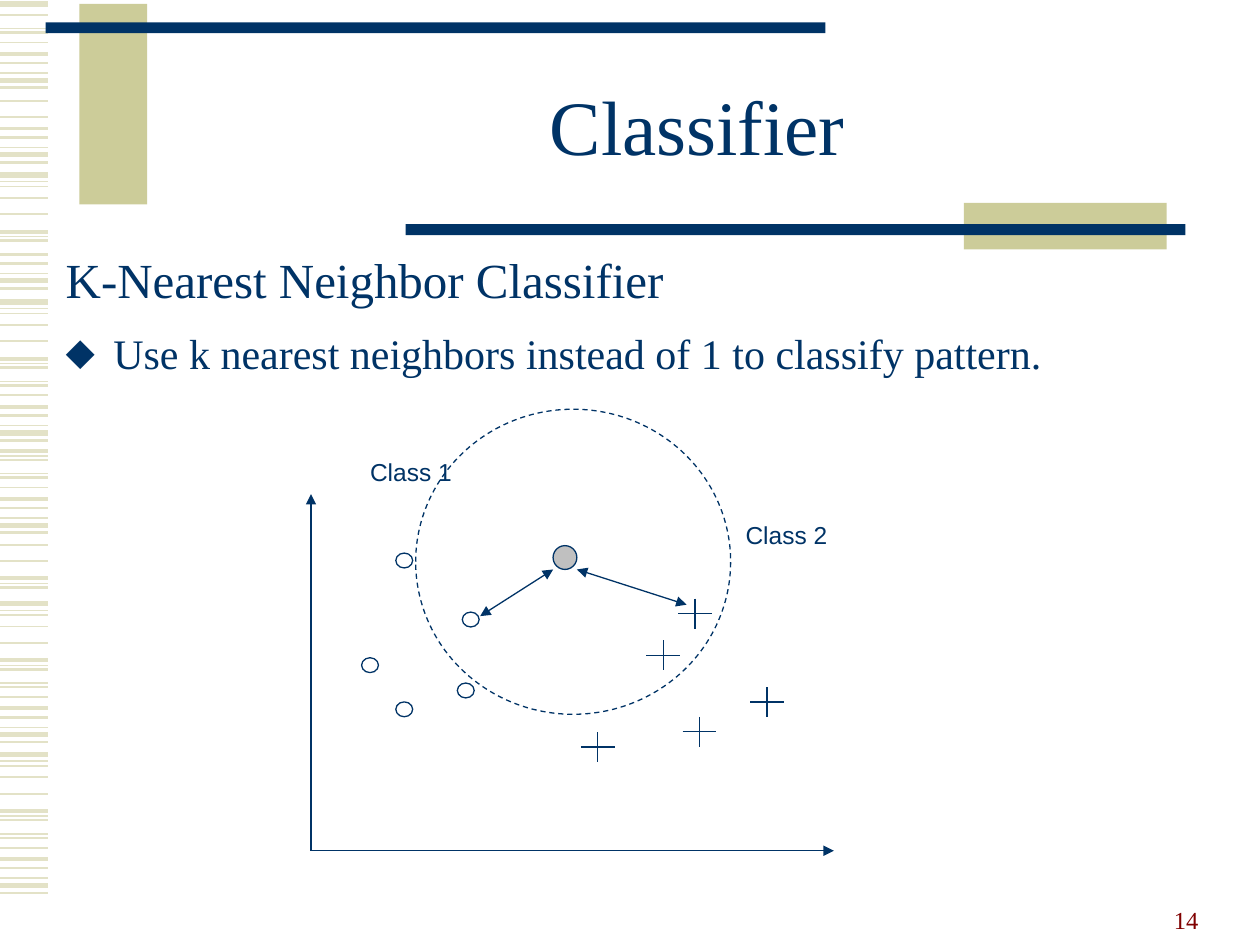
from lxml import etree
from pptx import Presentation
from pptx import util as u
from pptx.dml.color import RGBColor
from pptx.enum import dml, shapes, text
from pptx.oxml import ns

NAVY, KHAKI, STRIPE, GREY, MAROON = "003366", "CCCC99", "E3E2C7", "C0C0C0", "800000"
SERIF, SANS = "Times New Roman", "Arial"

# Margin stripes: (offset from the top of the pattern in cm, weight in points)
STRIPE_PATTERN = [
    (0, 3), (0.13, 0.75), (0.23, 1), (0.46, 1), (0.79, 1), (1.14, 2.25),
    (1.24, 0.75), (1.32, 1.5), (1.6, 0.75), (1.68, 1.5), (1.88, 1),
    (2.11, 2.25), (2.29, 1.5), (2.49, 0.75), (2.64, 3), (2.79, 1.5),
]
# Each run repeats part of the pattern: (pattern top in cm, first stripe, end)
STRIPE_RUNS = [
    (15.21, 0, 16), (12.17, 0, 16), (10.52, 3, 8), (7.95, 5, 16),
    (6.09, 0, 16), (3.02, 11, 16), (3.53, 0, 8), (0.48, 10, 16),
    (1.57, 3, 4), (-1.02, 7, 16), (0.08, 0, 1),
]
BARS = [
    (1.6, 0.08, 1.37, 4.04, KHAKI), (0.92, 0.45, 15.72, 0.22, NAVY),
    (19.43, 4.09, 4.09, 0.94, KHAKI), (8.18, 4.52, 15.72, 0.22, NAVY),
]
CLASS_1_POINTS = [(7.98, 11.15), (9.32, 12.34), (9.22, 13.77), (7.29, 13.26), (7.98, 14.15)]
CLASS_2_CENTRES = [(14.01, 12.37), (12.05, 15.06), (14.1, 14.75), (15.46, 14.15), (13.37, 13.21)]


def color(hex_code):
    return RGBColor.from_string(hex_code)


def sub(parent, tag, **attributes):
    return etree.SubElement(parent, ns.qn(tag), attributes)


class Deck:
    """Holds the presentation, its line style and the current slide."""

    line_weight = 0.75

    def __init__(self):
        self.prs = Presentation()
        self.prs.slide_width, self.prs.slide_height = u.Cm(25.4), u.Cm(19.05)
        self.slide = self.prs.slides.add_slide(self.prs.slide_layouts[1])

    def line(self, x1, y1, x2, y2, stroke=NAVY, weight=line_weight, arrows=()):
        """Draw a line; arrows names the ends ('head' start, 'tail' end) with a triangle."""
        connector = self.slide.shapes.add_connector(
            shapes.MSO_CONNECTOR.STRAIGHT, u.Cm(x1), u.Cm(y1), u.Cm(x2), u.Cm(y2))
        connector.line.color.rgb = color(stroke)
        connector.line.width = u.Pt(weight)
        properties = connector._element.spPr
        for end in arrows:
            sub(properties.find(ns.qn("a:ln")), f"a:{end}End", type="triangle")
        sub(properties, "a:effectLst")

    def shape(self, kind, x, y, width, height, fill=None, stroke=None, dash=None):
        shape = self.slide.shapes.add_shape(kind, u.Cm(x), u.Cm(y), u.Cm(width), u.Cm(height))
        shape.shadow.inherit = False
        if fill:
            shape.fill.solid()
            shape.fill.fore_color.rgb = color(fill)
        else:
            shape.fill.background()
        if stroke:
            shape.line.color.rgb = color(stroke)
            shape.line.width = u.Pt(self.line_weight)
            if dash:
                shape.line.dash_style = dash
        else:
            shape.line.fill.background()

    def bar(self, x, y, width, height, fill):
        self.shape(shapes.MSO_SHAPE.RECTANGLE, x, y, width, height, fill)

    def ellipse(self, x, y, width, height, fill=None, dash=None):
        self.shape(shapes.MSO_SHAPE.OVAL, x, y, width, height, fill, NAVY, dash)

    def cross(self, x, y, half_width=0.34, half_height=0.3):
        self.line(x - half_width, y, x + half_width, y)
        self.line(x, y - half_height, x, y + half_height)

    def format(self, paragraph, size, font=SERIF, fill=NAVY):
        for run in paragraph.runs:
            run.font.size = u.Pt(size)
            run.font.name = font
            run.font.color.rgb = color(fill)

    def label(self, words, x, y, width, height, font=SANS, fill=NAVY,
              align=text.PP_ALIGN.LEFT, anchor=text.MSO_ANCHOR.TOP, wrap=False):
        box = self.slide.shapes.add_textbox(u.Cm(x), u.Cm(y), u.Cm(width), u.Cm(height))
        frame = box.text_frame
        frame.text = words
        frame.word_wrap = wrap
        frame.vertical_anchor = anchor
        frame.paragraphs[0].alignment = align
        self.format(frame.paragraphs[0], 14, font, fill)

    def place(self, holder, x, y, width, height, words):
        """Move a placeholder, fill it and return its paragraphs."""
        holder.left, holder.top = u.Cm(x), u.Cm(y)
        holder.width, holder.height = u.Cm(width), u.Cm(height)
        holder.text_frame.text = words
        holder.text_frame.auto_size = text.MSO_AUTO_SIZE.NONE
        return holder.text_frame.paragraphs

    def title(self, words):
        heading, = self.place(self.slide.shapes.title, 3.81, 1.07, 20.5, 3.18, words)
        heading.alignment = text.PP_ALIGN.CENTER
        heading.line_spacing = 0.85
        self.format(heading, 44)

    def body(self, subheading, point):
        paragraphs = self.place(self.slide.placeholders[1], 1.07, 4.67, 23.7, 7.39,
                                f"{subheading}\n{point}")
        for paragraph, size in zip(paragraphs, (28, 24)):
            paragraph.line_spacing = 1.2
            paragraph.space_before = u.Pt(0.2 * size)
            self.format(paragraph, size)
            properties = paragraph._p.get_or_add_pPr()
            properties.set("marL", str(u.Cm(0.96)))
            properties.set("indent", str(u.Cm(-0.96)))
            if paragraph.text == point:
                sub(sub(properties, "a:buClr"), "a:srgbClr", val=NAVY)
                sub(properties, "a:buChar", char="⬥")
            else:
                sub(properties, "a:buNone")


def draw_template(deck):
    for top, first, end in STRIPE_RUNS:
        for offset, weight in STRIPE_PATTERN[first:end]:
            deck.line(0, top + offset, 0.96, top + offset, STRIPE, weight)
    for bar in BARS:
        deck.bar(*bar)
    deck.label("14", 18.31, 17.7, 6.1, 1.27, SERIF, MAROON,
               text.PP_ALIGN.RIGHT, text.MSO_ANCHOR.BOTTOM, wrap=True)


def draw_neighbors(deck):
    origin_x, origin_y = 6.27, 17.15
    deck.line(origin_x, origin_y, origin_x, 9.96, arrows=["tail"])
    deck.line(origin_x, origin_y, 16.81, origin_y, arrows=["tail"])
    for x, y in CLASS_1_POINTS:
        deck.ellipse(x, y, 0.34, 0.3)
    for x, y in CLASS_2_CENTRES:
        deck.cross(x, y)
    deck.label("Class 1", 7.21, 9.09, 2.16, 0.84)
    deck.label("Class 2", 14.78, 10.36, 2.16, 0.84)
    deck.ellipse(11.15, 11, 0.48, 0.48, GREY)
    deck.line(9.68, 12.42, 11.15, 11.48, arrows=["head", "tail"])
    deck.line(11.63, 11.48, 13.84, 12.19, arrows=["head", "tail"])
    deck.ellipse(8.38, 8.25, 6.35, 6.15, dash=dml.MSO_LINE.DASH)


def main():
    deck = Deck()
    draw_template(deck)
    deck.title("Classifier")
    deck.body("K-Nearest Neighbor Classifier",
              "Use k nearest neighbors instead of 1 to classify pattern.")
    draw_neighbors(deck)
    deck.prs.save("out.pptx")


if __name__ == "__main__":
    main()
